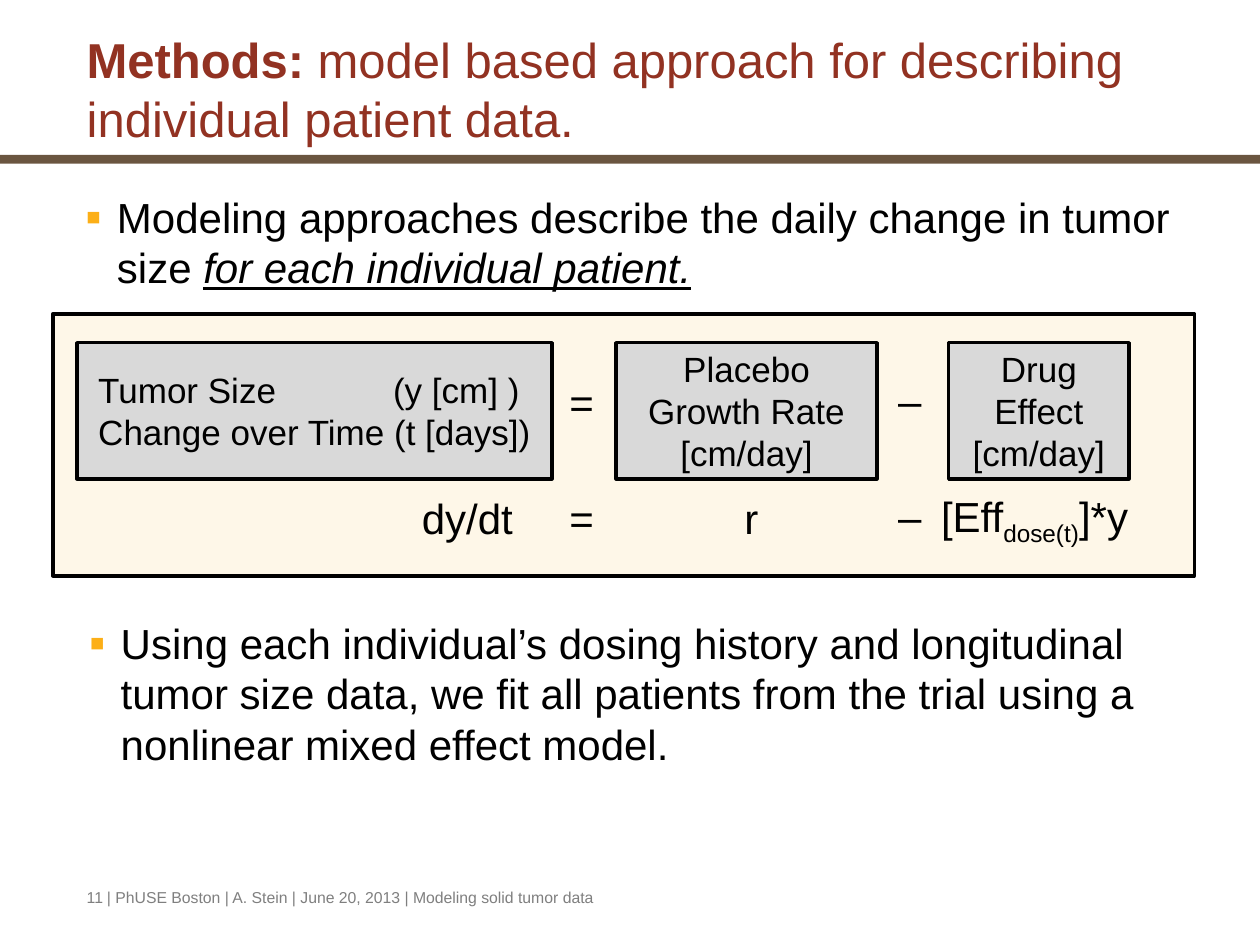
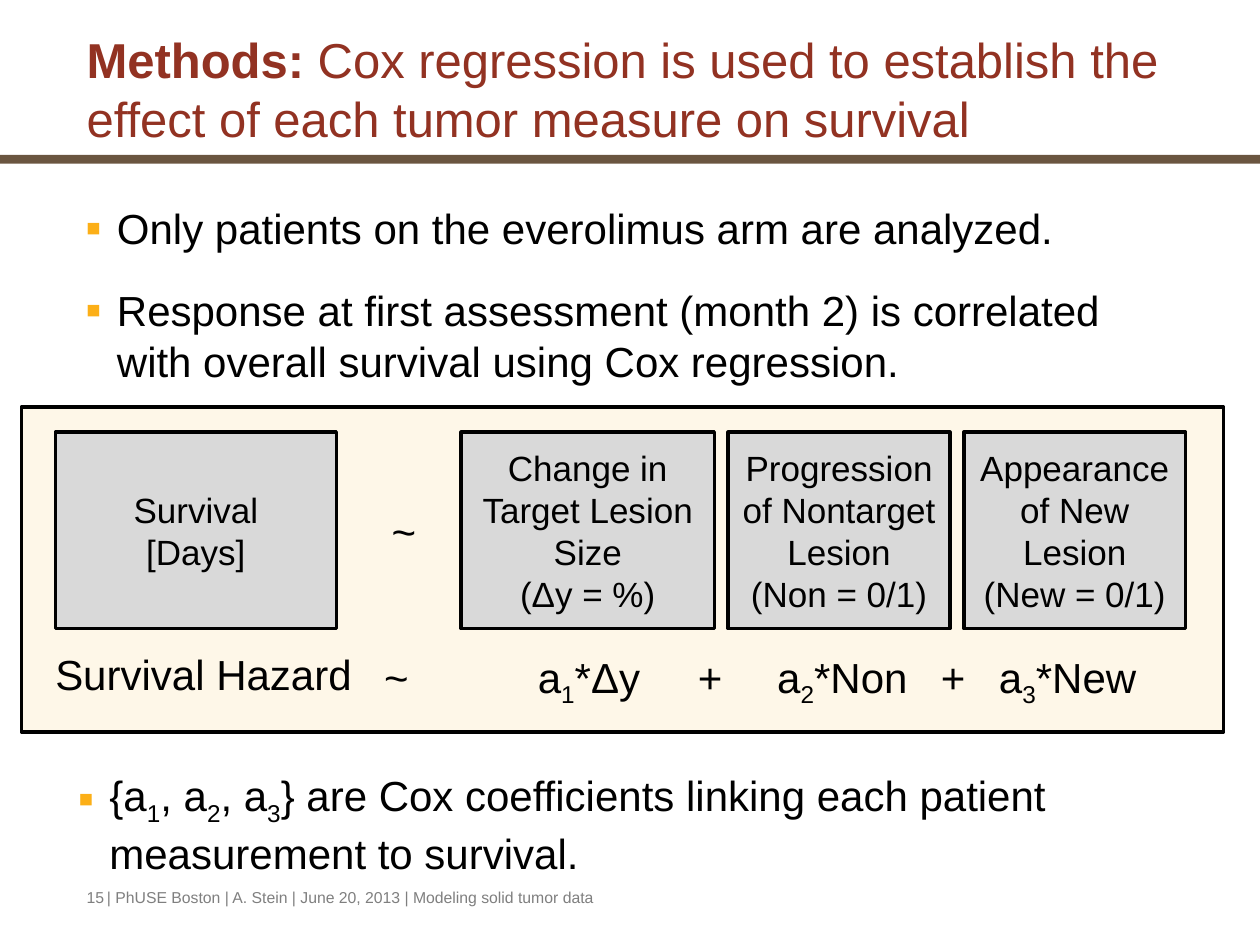
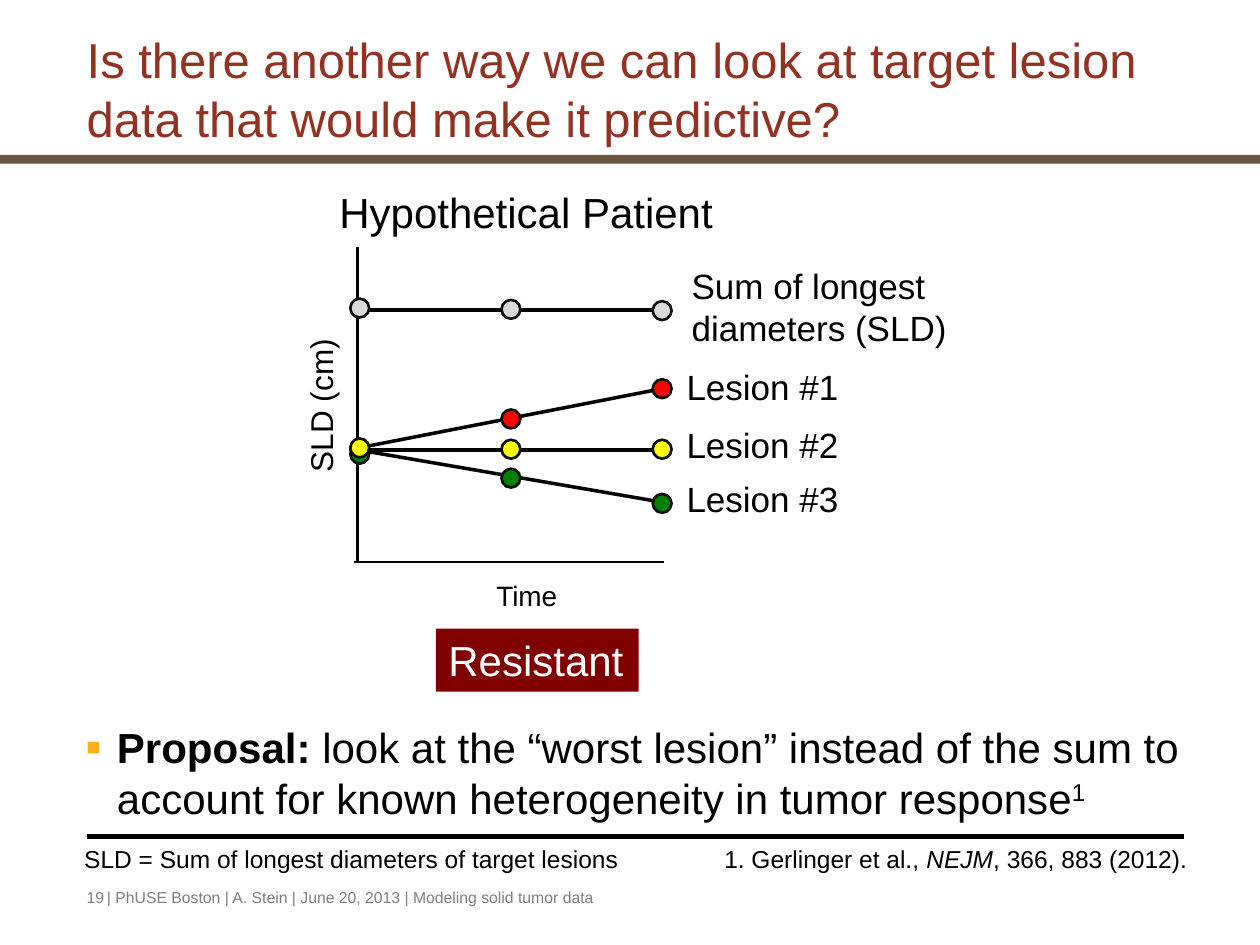
from typing import NamedTuple, Sequence, Union

from lxml import etree
from pptx import Presentation
from pptx.dml.color import RGBColor
from pptx.enum.shapes import MSO_CONNECTOR, MSO_SHAPE
from pptx.enum.text import MSO_ANCHOR as Anchor, MSO_AUTO_SIZE as AutoSize, PP_ALIGN as Align
from pptx.oxml.ns import qn
from pptx.util import Inches, Pt

# Shared style
FONT = "Arial"
BLACK, WHITE, GRAY = "000000", "FFFFFF", "7F7F7F"
TITLE_RED, BAND_BROWN, BULLET_GOLD = "923222", "6A5540", "FCAF17"
PANEL_CREAM, BOX_GRAY, RESISTANT_RED = "FEF7E8", "D9D9D9", "800000"
MARKER_LINE, RED, GREEN, YELLOW = "0D0D0D", "FF0000", "008000", "FFFF00"
TITLE_SIZE, BODY_SIZE, BOX_SIZE, NOTE_SIZE, FOOTER_SIZE = 28, 24, 20, 14, 9
FOOTER = "| PhUSE Boston | A. Stein | June 20, 2013 | Modeling solid tumor data"
SUBSCRIPT, SUPERSCRIPT = -25000, 30000


class Area(NamedTuple):
    left: float
    top: float
    width: float
    height: float


class Piece(NamedTuple):
    """Text of one run with its own format values."""
    text: str
    format: dict = {}
    baseline: int = 0


Line = Union[str, Sequence[Piece]]


class Label(NamedTuple):
    area: Area
    line: Line
    size: float = BODY_SIZE
    wrap: bool = False
    align: Align = Align.LEFT
    rotation: float = 0


class Box(NamedTuple):
    left: float
    width: float
    lines: Sequence[Line]


class Trend(NamedTuple):
    """Line of one lesion with a marker at each visit."""
    color: str
    start: tuple[float, float]
    end: tuple[float, float]
    marker_tops: Sequence[float]


def rgb(color: str) -> RGBColor:
    return RGBColor.from_string(color)


def write(frame, lines: Sequence[Line], size: float, color: str = BLACK,
          align: Align = Align.LEFT) -> None:
    for index, line in enumerate(lines):
        paragraph = frame.paragraphs[0] if index == 0 else frame.add_paragraph()
        paragraph.alignment = align
        for piece in [Piece(line)] if isinstance(line, str) else line:
            run = paragraph.add_run()
            run.text = piece.text
            values = {"name": FONT, "size": Pt(size), **piece.format}
            for name, value in values.items():
                setattr(run.font, name, value)
            run.font.color.rgb = rgb(color)
            if piece.baseline:
                run._r.get_or_add_rPr().set("baseline", str(piece.baseline))


def add_text(slide, area: Area, lines: Sequence[Line], size: float = BODY_SIZE,
             color: str = BLACK, align: Align = Align.LEFT, wrap: bool = True):
    shape = slide.shapes.add_textbox(*map(Inches, area))
    shape.text_frame.word_wrap = wrap
    write(shape.text_frame, lines, size, color, align)
    return shape


def add_label(slide, label: Label) -> None:
    shape = add_text(slide, label.area, [label.line], label.size,
                     align=label.align, wrap=label.wrap)
    shape.text_frame.auto_size = AutoSize.SHAPE_TO_FIT_TEXT
    shape.rotation = label.rotation


def add_bullets(slide, area: Area, lines: Sequence[Line]) -> None:
    shape = add_text(slide, area, lines)
    for index, paragraph in enumerate(shape.text_frame.paragraphs):
        properties = paragraph._p.get_or_add_pPr()
        properties.set("marL", str(Inches(0.25)))
        properties.set("indent", str(-Inches(0.25)))
        bullet_color = etree.SubElement(properties, qn("a:buClr"))
        etree.SubElement(bullet_color, qn("a:srgbClr"), val=BULLET_GOLD)
        etree.SubElement(properties, qn("a:buSzPct"), val="110000")
        etree.SubElement(properties, qn("a:buFont"), typeface=FONT)
        etree.SubElement(properties, qn("a:buChar"), char="▪")
        if index:
            paragraph.space_before = Pt(18)


def add_figure(slide, kind: MSO_SHAPE, area: Area, fill: str,
               line: str = "", line_width: float = 2):
    shape = slide.shapes.add_shape(kind, *map(Inches, area))
    shape.shadow.inherit = False
    shape.fill.solid()
    shape.fill.fore_color.rgb = rgb(fill)
    if line:
        shape.line.color.rgb = rgb(line)
        shape.line.width = Pt(line_width)
    else:
        shape.line.fill.background()
    return shape


def add_line(slide, start: tuple[float, float], end: tuple[float, float], width: float) -> None:
    connector = slide.shapes.add_connector(MSO_CONNECTOR.STRAIGHT, *map(Inches, start + end))
    connector.line.color.rgb = rgb(BLACK)
    connector.line.width = Pt(width)
    etree.SubElement(connector._element.spPr, qn("a:effectLst"))


def add_panel(slide, area: Area) -> None:
    add_figure(slide, MSO_SHAPE.RECTANGLE, area, PANEL_CREAM, BLACK)


def add_boxes(slide, top: float, height: float, boxes: Sequence[Box]) -> list:
    shapes = []
    for box in boxes:
        area = Area(box.left, top, box.width, height)
        shape = add_figure(slide, MSO_SHAPE.RECTANGLE, area, BOX_GRAY, BLACK)
        shape.text_frame.word_wrap = True
        shape.text_frame.vertical_anchor = Anchor.MIDDLE
        write(shape.text_frame, box.lines, BOX_SIZE, align=Align.CENTER)
        shapes.append(shape)
    return shapes


def add_trend(slide, trend: Trend) -> None:
    add_line(slide, trend.start, trend.end, 2)
    for visit, top in enumerate(trend.marker_tops):
        area = Area(2.78 + 1.2 * visit, top, 0.15, 0.15)
        add_figure(slide, MSO_SHAPE.OVAL, area, trend.color, MARKER_LINE, 1.5)


def term(before: str, subscript: str, after: str) -> list[Piece]:
    return [Piece(before), Piece(subscript, baseline=SUBSCRIPT), Piece(after)]


def start_slide(presentation, number: int, title: Line):
    """Blank slide with band, title and footer."""
    slide = presentation.slides.add_slide(presentation.slide_layouts[6])
    add_figure(slide, MSO_SHAPE.RECTANGLE, Area(0, 1.23, 10, 0.07), BAND_BROWN)
    heading = add_text(slide, Area(0.59, 0.22, 9.07, 1), [title], TITLE_SIZE, TITLE_RED)
    heading.text_frame.vertical_anchor = Anchor.BOTTOM
    add_text(slide, Area(0.59, 7, 0.44, 0.27), [str(number)], FOOTER_SIZE, GRAY)
    add_text(slide, Area(0.75, 7, 7.08, 0.27), [FOOTER], FOOTER_SIZE, GRAY)
    return slide


def methods_title(text: str) -> list[Piece]:
    return [Piece("Methods: ", {"bold": True}), Piece(text)]


def build_model_slide(presentation) -> None:
    slide = start_slide(presentation, 11, methods_title(
        "model based approach for describing individual patient data."))
    add_panel(slide, Area(0.42, 2.49, 9.06, 2.08))
    add_bullets(slide, Area(0.58, 1.47, 9.09, 0.9), [[
        Piece("Modeling approaches describe the daily change in tumor size "),
        Piece("for each individual patient.", {"italic": True, "underline": True})]])
    add_bullets(slide, Area(0.61, 4.85, 9.18, 1.25), [
        "Using each individual’s dosing history and longitudinal tumor size data, "
        "we fit all patients from the trial using a nonlinear mixed effect model."])

    # Model in words
    tumor_size, *_ = add_boxes(slide, 2.72, 1.08, [
        Box(0.61, 3.77, ["Tumor Size\t(y [cm] )", "Change over Time (t [days])"]),
        Box(4.89, 2.07, ["Placebo", "Growth Rate [cm/day]"]),
        Box(7.53, 1.43, ["Drug", "Effect", "[cm/day]"])])
    tumor_size.text_frame.margin_left = Inches(0.17)
    for paragraph in tumor_size.text_frame.paragraphs:
        paragraph.alignment = Align.LEFT
    properties = tumor_size.text_frame.paragraphs[0]._p.get_or_add_pPr()
    tabs = etree.SubElement(properties, qn("a:tabLst"))
    etree.SubElement(tabs, qn("a:tab"), pos=str(Inches(2.34)), algn="l")

    # Operators and model in symbols
    for label in [
        Label(Area(4.42, 2.94, 0.4, 0.51), "="),
        Label(Area(7.03, 2.92, 0.39, 0.51), "–"),
        Label(Area(3.25, 3.86, 1.14, 0.51), "dy/dt", wrap=True),
        Label(Area(4.42, 3.86, 0.4, 0.51), "="),
        Label(Area(5.81, 3.86, 0.31, 0.51), "r"),
        Label(Area(7.03, 3.84, 0.39, 0.51), "–"),
        Label(Area(7.37, 3.84, 1.79, 0.51), term("[Eff", "dose(t)", "]*y")),
    ]:
        add_label(slide, label)


def build_cox_slide(presentation) -> None:
    slide = start_slide(presentation, 15, methods_title(
        "Cox regression is used to establish the effect of each tumor measure on survival"))
    add_panel(slide, Area(0.17, 3.23, 9.54, 2.58))
    add_bullets(slide, Area(0.58, 1.56, 8.84, 1.56), [
        "Only patients on the everolimus arm are analyzed.",
        "Response at first assessment (month 2) is correlated with overall survival "
        "using Cox regression."])
    add_bullets(slide, Area(0.52, 6.06, 8.84, 0.87), [
        term("{a", "1", ", a") + term("", "2", ", a")[1:] + term(
            "", "3", "} are Cox coefficients linking each patient measurement to survival.")[1:]])

    # Regression in words
    add_boxes(slide, 3.43, 1.56, [
        Box(0.44, 2.23, ["Survival", "[Days]"]),
        Box(3.66, 2.01, ["Change in Target Lesion Size", "(Δy = %)"]),
        Box(5.78, 1.76, ["Progression of Nontarget Lesion", "(Non = 0/1)"]),
        Box(7.65, 1.76, ["Appearance of New Lesion", "(New = 0/1)"])])
    add_label(slide, Label(Area(3.01, 3.96, 0.4, 0.51), "~"))

    # Regression in symbols
    add_label(slide, Label(Area(0.34, 5.1, 2.58, 0.5), "Survival Hazard"))
    for left, width, line in [
        (2.95, 0.4, "~"),
        (4.17, 1.04, term("a", "1", "*Δy")),
        (5.44, 0.4, "+"),
        (6.07, 1.26, term("a", "2", "*Non")),
        (7.37, 0.4, "+"),
        (7.83, 1.32, term("a", "3", "*New")),
    ]:
        add_label(slide, Label(Area(left, 5.12, width, 0.5), line))


def build_lesion_slide(presentation) -> None:
    slide = start_slide(
        presentation, 19,
        "Is there another way we can look at target lesion data that would make it predictive?")
    add_bullets(slide, Area(0.58, 5.68, 9.09, 0.9), [[
        Piece("Proposal: ", {"bold": True}),
        Piece("look at the “worst lesion” instead of the sum to account for known "
              "heterogeneity in tumor response"),
        Piece("1", baseline=SUPERSCRIPT)]])

    # Axes and lesion trends
    add_line(slide, (2.81, 4.46), (5.27, 4.46), 1.5)
    add_line(slide, (2.84, 1.96), (2.84, 4.45), 1.5)
    for trend in [
        Trend(BOX_GRAY, (2.82, 2.46), (5.28, 2.46), (2.37, 2.38, 2.39)),
        Trend(RED, (2.82, 3.56), (5.28, 3.08), (3.49, 3.25, 3.01)),
        Trend(GREEN, (2.78, 3.56), (5.28, 3.99), (3.53, 3.72, 3.92)),
        Trend(YELLOW, (2.83, 3.57), (5.28, 3.57), (3.48, 3.49, 3.49)),
    ]:
        add_trend(slide, trend)

    # Labels of the diagram
    for label in [
        Label(Area(2.53, 1.43, 3.29, 0.5), "Hypothetical Patient", align=Align.CENTER),
        Label(Area(3.84, 4.54, 0.69, 0.37), "Time", 16),
        Label(Area(1.91, 3.01, 1.27, 0.4), "SLD (cm)", 18, rotation=270),
        Label(Area(5.39, 2.05, 2.51, 0.77), "Sum of longest diameters (SLD)", BOX_SIZE, wrap=True),
    ]:
        add_label(slide, label)
    for number, top in enumerate((2.85, 3.31, 3.74), start=1):
        add_label(slide, Label(Area(5.35, top, 1.42, 0.44), f"Lesion #{number}", BOX_SIZE))
    verdict = add_figure(slide, MSO_SHAPE.RECTANGLE, Area(3.46, 4.99, 1.61, 0.5), RESISTANT_RED)
    verdict.text_frame.word_wrap = False
    verdict.text_frame.vertical_anchor = Anchor.TOP
    write(verdict.text_frame, ["Resistant"], BODY_SIZE, WHITE)

    # Notes below the rule
    add_line(slide, (0.69, 6.64), (9.4, 6.64), 3)
    add_text(slide, Area(0.57, 6.65, 4.56, 0.34),
             ["SLD = Sum of longest diameters of target lesions"], NOTE_SIZE)
    add_text(slide, Area(5.65, 6.65, 4.2, 0.34), [[
        Piece("1. Gerlinger et al., "), Piece("NEJM", {"italic": True}),
        Piece(", 366, 883 (2012).")]], NOTE_SIZE)


def main() -> None:
    presentation = Presentation()
    presentation.slide_width, presentation.slide_height = Inches(10), Inches(7.5)
    build_model_slide(presentation)
    build_cox_slide(presentation)
    build_lesion_slide(presentation)
    presentation.save("out.pptx")


if __name__ == "__main__":
    main()
